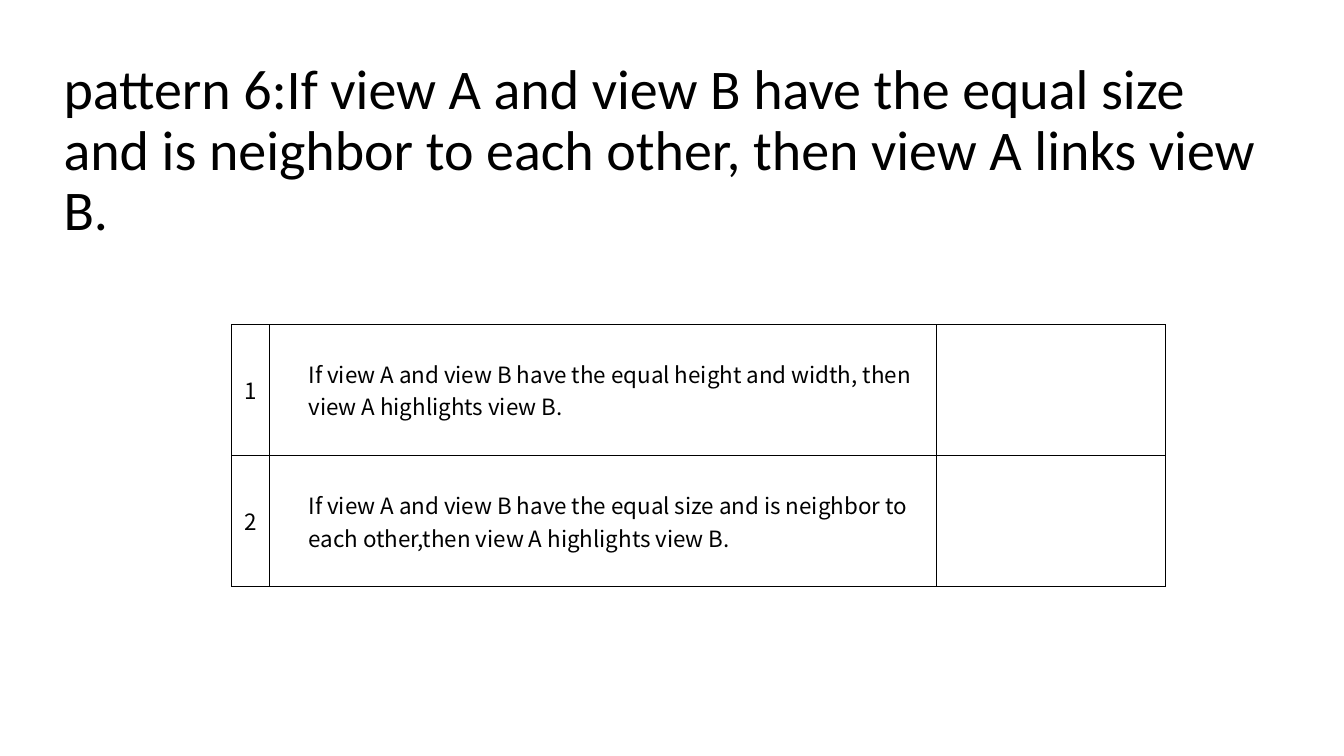
from dataclasses import dataclass

from lxml import etree
from pptx import Presentation
from pptx.dml.color import RGBColor
from pptx.enum.text import MSO_ANCHOR, MSO_AUTO_SIZE, PP_ALIGN
from pptx.oxml.ns import qn
from pptx.util import Inches, Pt

LEFT, CENTER = PP_ALIGN.LEFT, PP_ALIGN.CENTER
MIDDLE, BOTTOM = MSO_ANCHOR.MIDDLE, MSO_ANCHOR.BOTTOM
NO_AUTOFIT = MSO_AUTO_SIZE.NONE
BLACK = "000000"
BORDER_WIDTH = 0.75
COLUMN_WIDTHS = (0.37, 6.62, 2.27)
ROW_HEIGHT = 1.3
RULES_LEFT, RULES_TOP = 2.3, 3.22


@dataclass(frozen=True)
class Rule:
    number: str
    statement: str


HEADING = (
    "pattern 6:If view A and view B have the equal size and is neighbor "
    "to each other, then view A links view B."
)
RULES = (
    Rule("1", "If view A and view B have the equal height and width, "
              "then view A highlights view B."),
    Rule("2", "If view A and view B have the equal size and is neighbor "
              "to each other,then view A highlights view B."),
)


def color(value: str) -> RGBColor:
    return RGBColor.from_string(value)


def write(frame, text: str, *, size: float, font: str, align=LEFT,
          spacing: float = 1.0, indent: float = 0) -> None:
    paragraph = frame.paragraphs[0]
    paragraph.alignment = align
    paragraph.line_spacing = spacing
    if indent:
        properties = paragraph._p.get_or_add_pPr()
        properties.set("marL", str(Inches(indent)))
        properties.set("indent", "0")
    run = paragraph.add_run()
    run.text = text
    run.font.size = Pt(size)
    run.font.name = font
    run.font.color.rgb = color(BLACK)


def style_cell(cell) -> None:
    cell.margin_left = cell.margin_right = 0
    cell.margin_top = cell.margin_bottom = 0
    cell.vertical_anchor = MIDDLE
    properties = cell._tc.get_or_add_tcPr()
    for side in ("a:lnL", "a:lnR", "a:lnT", "a:lnB"):
        border = etree.SubElement(properties, qn(side), w=str(Pt(BORDER_WIDTH)))
        fill = etree.SubElement(border, qn("a:solidFill"))
        etree.SubElement(fill, qn("a:srgbClr"), val=BLACK)
    cell.fill.background()


def add_heading(slide) -> None:
    heading = slide.shapes.title
    heading.left, heading.top = Inches(0.53), Inches(0.85)
    heading.width, heading.height = Inches(12.03), Inches(1.61)
    frame = heading.text_frame
    frame.word_wrap = True
    frame.auto_size = NO_AUTOFIT
    frame.vertical_anchor = BOTTOM
    write(frame, HEADING, size=40, font="Calibri", spacing=0.9)


def add_rules(slide) -> None:
    table = slide.shapes.add_table(
        len(RULES), len(COLUMN_WIDTHS), Inches(RULES_LEFT), Inches(RULES_TOP),
        Inches(sum(COLUMN_WIDTHS)), Inches(ROW_HEIGHT * len(RULES)),
    ).table
    table.first_row = table.horz_banding = False
    for column, width in zip(table.columns, COLUMN_WIDTHS):
        column.width = Inches(width)
    for cell in table.iter_cells():
        style_cell(cell)
    body = {"size": 16, "font": "Noto Sans CJK SC"}
    for row, rule in enumerate(RULES):
        write(table.cell(row, 0).text_frame, rule.number, align=CENTER, **body)
        write(table.cell(row, 1).text_frame, rule.statement, indent=0.39, **body)


deck = Presentation()
deck.slide_width, deck.slide_height = Inches(13.33), Inches(7.5)
TITLE_ONLY = 5
pattern_slide = deck.slides.add_slide(deck.slide_layouts[TITLE_ONLY])
add_heading(pattern_slide)
add_rules(pattern_slide)
deck.save("out.pptx")
